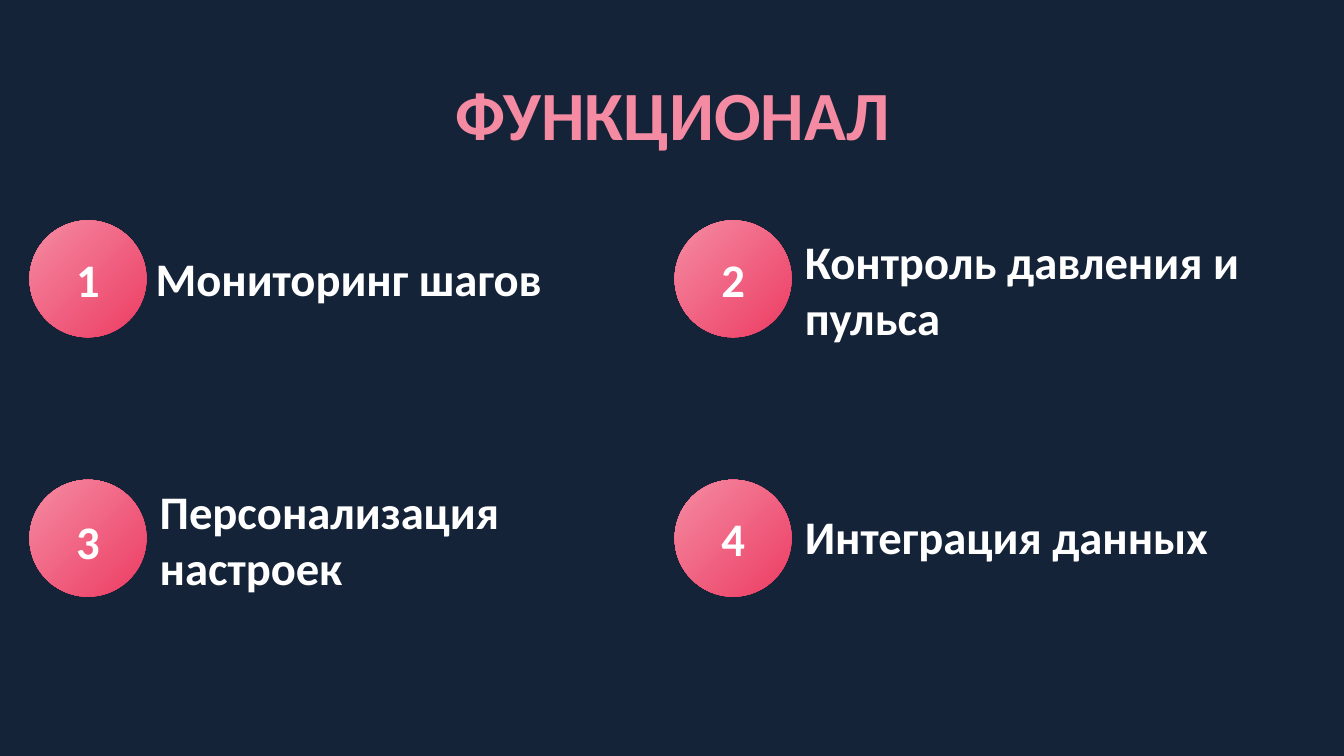
"""Build the slide that lists four numbered product functions."""
from dataclasses import dataclass

from lxml.etree import SubElement
from pptx import Presentation
from pptx.dml.color import RGBColor
from pptx.enum.shapes import MSO_SHAPE
from pptx.enum.text import MSO_ANCHOR, MSO_AUTO_SIZE, PP_ALIGN
from pptx.oxml.ns import qn
from pptx.util import Inches, Pt


@dataclass(frozen=True)
class Theme:
    background: RGBColor = RGBColor.from_string("142338")
    light_pink: RGBColor = RGBColor.from_string("F58BA2")
    deep_pink: RGBColor = RGBColor.from_string("EC3C63")
    white: RGBColor = RGBColor.from_string("FFFFFF")
    font: str = "Calibri"
    title_size: int = 37
    item_size: int = 25


THEME = Theme()
WIDTH = 10
HEIGHT = WIDTH * 9 / 16
COLUMNS = 2
GRID_LEFT, GRID_TOP = 0.22, 1.64
COLUMN_STEP, ROW_STEP = 0.48 * WIDTH, 1.93
CIRCLE_SIZE = 0.87
NUMBER_WIDTH, NUMBER_HEIGHT = 0.8, 0.37
LABEL_HEIGHT = 0.4

TITLE = "ФУНКЦИОНАЛ"
FUNCTIONS = [
    {"label": "Мониторинг шагов", "offset": (0.84, 0.23), "width": 3.76, "number_top": 0.25},
    {"label": "Контроль давления и пульса", "offset": (0.87, 0.31), "width": 4.02, "number_top": 0.25},
    {"label": "Персонализация настроек", "offset": (0.87, 0.24), "width": 3.85, "number_top": 0.27},
    {"label": "Интеграция данных", "offset": (0.87, 0.22), "width": 3.94, "number_top": 0.25},
]


def place(shape, left, top, width, height):
    shape.left, shape.top = Inches(left), Inches(top)
    shape.width, shape.height = Inches(width), Inches(height)


def write(shape, text, size, color, alignment):
    frame = shape.text_frame
    frame.word_wrap = True
    frame.auto_size = MSO_AUTO_SIZE.NONE
    frame.vertical_anchor = MSO_ANCHOR.MIDDLE
    frame.margin_left = frame.margin_right = Inches(0.1)
    frame.margin_top = frame.margin_bottom = Inches(0.1)
    paragraph = frame.paragraphs[0]
    paragraph.alignment = alignment
    run = paragraph.add_run()
    run.text = text
    run.font.name = THEME.font
    run.font.size = Pt(size)
    run.font.bold = True
    run.font.color.rgb = color


def add_text(slide, text, box, alignment):
    shape = slide.shapes.add_textbox(*map(Inches, box))
    write(shape, text, THEME.item_size, THEME.white, alignment)


def add_circle(slide, left, top):
    circle = slide.shapes.add_shape(
        MSO_SHAPE.OVAL, *map(Inches, (left, top, CIRCLE_SIZE, CIRCLE_SIZE)))
    circle.shadow.inherit = False
    circle.line.fill.background()
    circle.fill.gradient()
    colors = (THEME.light_pink, THEME.deep_pink)
    for position, (stop, color) in enumerate(zip(circle.fill.gradient_stops, colors)):
        stop.position = position
        stop.color.rgb = color
    gradient = circle._element.spPr.find(qn("a:gradFill"))
    gradient.remove(gradient.find(qn("a:lin")))
    radial = SubElement(gradient, qn("a:path"), {"path": "circle"})
    SubElement(radial, qn("a:fillToRect"), {"r": "100000", "b": "100000"})


def add_function(slide, index, function):
    row, column = divmod(index, COLUMNS)
    left = GRID_LEFT + column * COLUMN_STEP
    top = GRID_TOP + row * ROW_STEP
    add_circle(slide, left, top)
    number_left = left + (CIRCLE_SIZE - NUMBER_WIDTH) / 2
    number_box = (number_left, top + function["number_top"], NUMBER_WIDTH, NUMBER_HEIGHT)
    add_text(slide, str(index + 1), number_box, PP_ALIGN.CENTER)
    across, down = function["offset"]
    label_box = (left + across, top + down, function["width"], LABEL_HEIGHT)
    add_text(slide, function["label"], label_box, PP_ALIGN.LEFT)


def main():
    presentation = Presentation()
    presentation.slide_width, presentation.slide_height = Inches(WIDTH), Inches(HEIGHT)
    slide = presentation.slides.add_slide(presentation.slide_layouts[5])
    slide.background.fill.solid()
    slide.background.fill.fore_color.rgb = THEME.background
    title = slide.shapes.title
    place(title, 0.79, 0.59, 8.43, 0.5)
    write(title, TITLE, THEME.title_size, THEME.light_pink, PP_ALIGN.CENTER)
    for index, function in enumerate(FUNCTIONS):
        add_function(slide, index, function)
    presentation.save("out.pptx")


if __name__ == "__main__":
    main()
